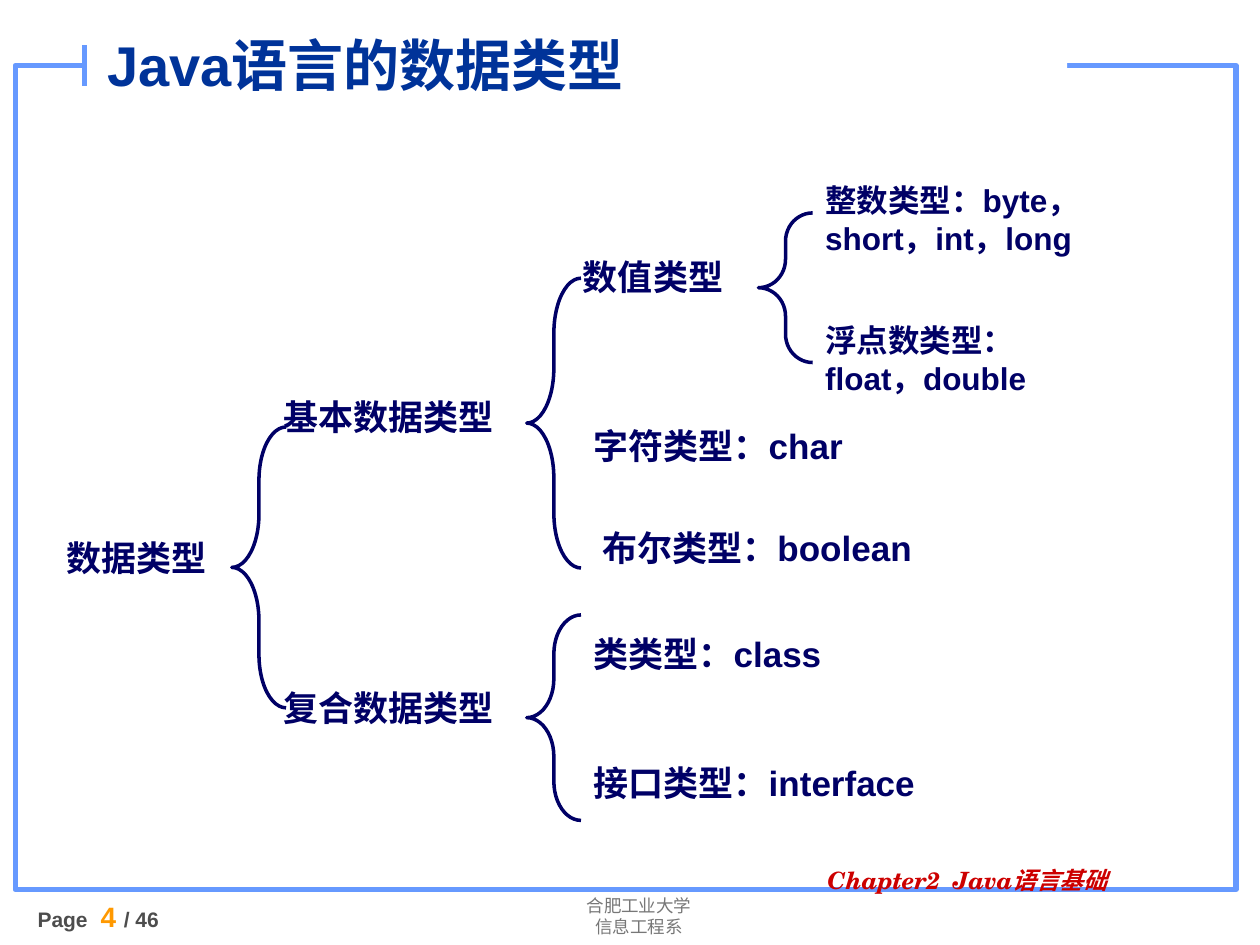
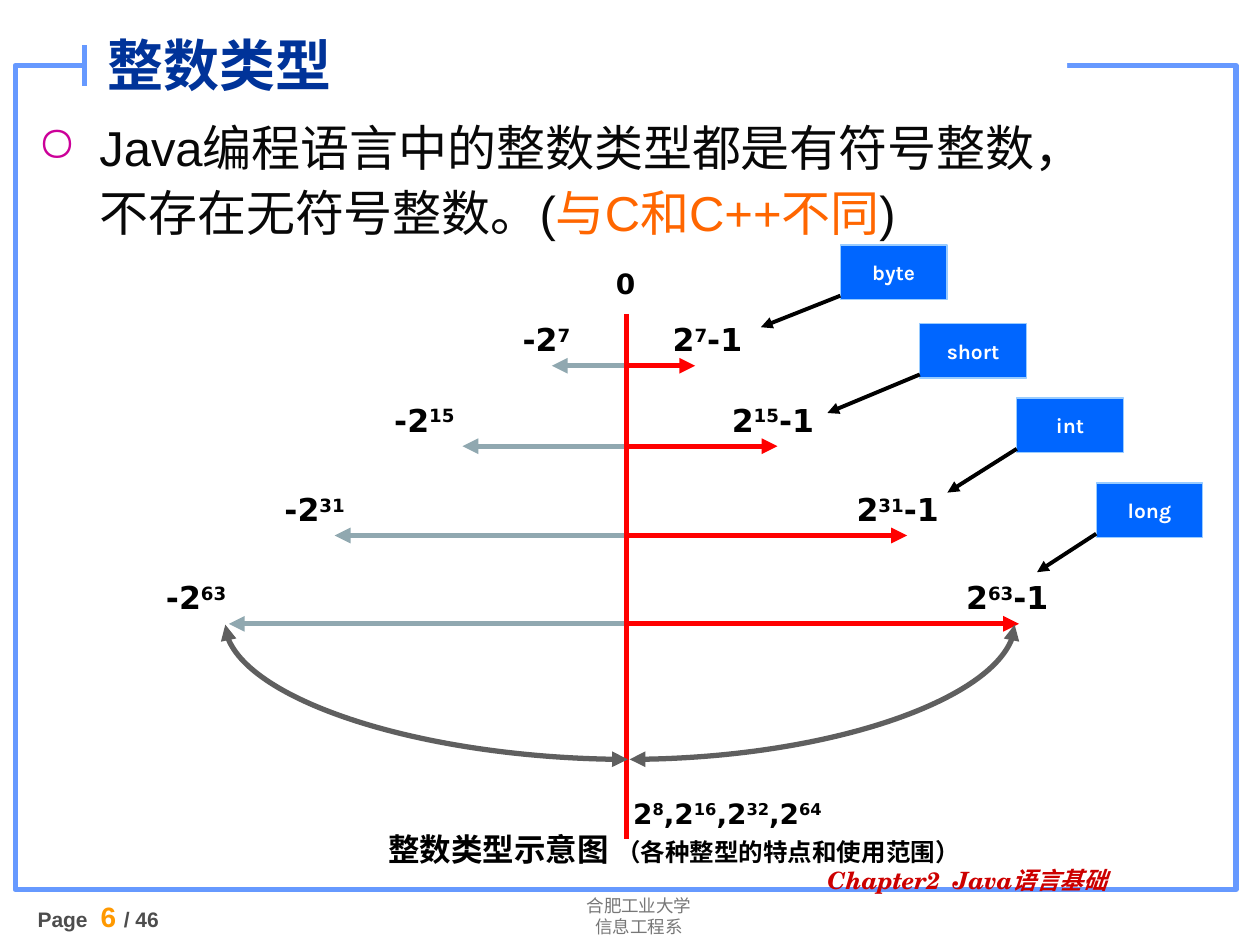
from collections import namedtuple
from dataclasses import dataclass

from lxml import etree
from pptx import Presentation
from pptx.dml.color import RGBColor
from pptx.enum.shapes import MSO_CONNECTOR, MSO_SHAPE
from pptx.enum.text import MSO_ANCHOR, MSO_AUTO_SIZE, PP_ALIGN
from pptx.oxml.ns import qn
from pptx.util import Pt

STRAIGHT, CURVE = MSO_CONNECTOR.STRAIGHT, MSO_CONNECTOR.CURVE
RECTANGLE, LEFT_BRACE = MSO_SHAPE.RECTANGLE, MSO_SHAPE.LEFT_BRACE
MIDDLE, NO_AUTOFIT = MSO_ANCHOR.MIDDLE, MSO_AUTO_SIZE.NONE
LEFT, CENTER = PP_ALIGN.LEFT, PP_ALIGN.CENTER


@dataclass(frozen=True)
class Theme:
    frame: str = "6699FF"
    paper: str = "FFFFFF"
    tree: str = "000066"
    positive: str = "FF0000"
    negative: str = "90A8B0"
    span: str = "5F5F5F"
    ink: str = "000000"
    tag_fill: str = "0066FF"
    tag_edge: str = "99CCFF"
    bullet: str = "CC0099"
    heavy: float = 3
    brace_weight: float = 2
    pointer_weight: float = 2.25
    tag_weight: float = 0.75


THEME = Theme()


def style(size, name, color, bold=False, italic=False):
    return {"size": Pt(size), "name": name, "color": color,
            "bold": bold, "italic": italic}


TITLE = style(32, "Arial", "003399", True)
SCHOOL = style(10, "Roboto", "777777")
PAGE = style(12, "Arial", "4D4D4D", True)
PAGE_NUMBER = style(16, "Arial", "FF9900", True)
CHAPTER = style(13.6, "TeX Gyre Schola", "CC0000", True, True)
NODE = style(20, "Arial", THEME.tree, True)
LEAF = style(18, "Arial", THEME.tree, True)
BODY = style(28, "Arial", "080808")
CONTRAST = style(28, "Arial", "FF6600")
LIMIT = style(18, "DejaVu Sans", THEME.ink, True)
SIZES = style(16, "DejaVu Sans", THEME.ink, True)
CAPTION = style(18, "Arial", THEME.ink, True)
CAPTION_NOTE = style(14, "DejaVu Sans", THEME.ink, True)
TAG = style(12, "Karla", THEME.paper, True)


class Box(namedtuple("Box", "left top width height")):
    def inner(self, dx, dy, width, height):
        return Box(self.left + dx, self.top + dy, width, height)

    def point(self, dx, dy):
        return self.left + dx, self.top + dy

    def lengths(self):
        return [Pt(value) for value in self]


SLIDE = Box(0, 0, 720, 540)


def rgb(color):
    return RGBColor.from_string(color)


def write(paragraph, *runs):
    """Add runs given as (text, style) or (text, style, True) for superscript."""
    for text, formats, *raised in runs:
        run = paragraph.add_run()
        run.text = text
        for attribute, value in formats.items():
            if attribute == "color":
                run.font.color.rgb = rgb(value)
            else:
                setattr(run.font, attribute, value)
        if raised:
            run._r.get_or_add_rPr().set("baseline", "30000")


def add_text(slide, box, *runs):
    frame = slide.shapes.add_textbox(*box.lengths()).text_frame
    frame.word_wrap = True
    write(frame.paragraphs[0], *runs)
    return frame


def add_tab(paragraph, position):
    tabs = etree.SubElement(paragraph._p.get_or_add_pPr(), qn("a:tabLst"))
    etree.SubElement(tabs, qn("a:tab"), pos=str(Pt(position)), algn="l")


def add_block(slide, kind, box, fill=None, edge=None, weight=0):
    block = slide.shapes.add_shape(kind, *box.lengths())
    block.shadow.inherit = False
    if fill:
        block.fill.solid()
        block.fill.fore_color.rgb = rgb(fill)
    else:
        block.fill.background()
    if edge:
        block.line.color.rgb = rgb(edge)
        block.line.width = Pt(weight)
    else:
        block.line.fill.background()
    return block


def add_line(slide, start, end, color, weight, heads=(), kind=STRAIGHT):
    """Draw a connector; heads lists the ends (headEnd, tailEnd) with arrows."""
    line = slide.shapes.add_connector(kind, *map(Pt, (*start, *end)))
    line.line.color.rgb = rgb(color)
    line.line.width = Pt(weight)
    outline = line.line._get_or_add_ln()
    for head in heads:
        etree.SubElement(outline, qn(f"a:{head}"), type="triangle")
    properties = line._element.spPr
    etree.SubElement(properties, qn("a:effectLst"))
    if kind == CURVE:
        properties.find(qn("a:prstGeom")).set("prst", "curvedConnector2")


def add_frame(slide, box):
    add_block(slide, RECTANGLE, box.inner(8.64, 37.44, 697.7, 470.9),
              edge=THEME.frame, weight=THEME.heavy)
    add_block(slide, RECTANGLE, box.inner(48.24, 20.16, 561.6, 25.2), THEME.paper)
    add_line(slide, box.point(48.24, 26), box.point(48.24, 49),
             THEME.frame, THEME.heavy)


def add_footer(slide, box, number):
    school = add_text(slide, box.inner(273.6, 14.4, 183, 32), ("合肥工业大学", SCHOOL))
    write(school.add_paragraph(), ("信息工程系", SCHOOL))
    for line in school.paragraphs:
        line.alignment = CENTER

    page = add_text(slide, box.inner(14.4, 17.3, 130, 30), ("Page\t", PAGE),
                    (f"{number} ", PAGE_NUMBER), ("/ 46", PAGE))
    add_tab(page.paragraphs[0], 36)

    chapter = add_text(slide, box.inner(465.8, 0, 221, 25),
                       ("Chapter2\tJava语言基础", CHAPTER)).paragraphs[0]
    chapter.line_spacing = 0.9
    add_tab(chapter, 71.5)


def add_titled_slide(deck, title, number):
    slide = deck.slides.add_slide(deck.slide_layouts[5])
    add_frame(slide, SLIDE)
    add_footer(slide, SLIDE.inner(0, 493.2, 720, 46.8), number)
    heading = slide.shapes.title
    slide.shapes._spTree.append(heading._element)  # in front of the frame
    place = SLIDE.inner(54, 8, 487.5, 57.6)
    for side, value in zip(place._fields, place.lengths()):
        setattr(heading, side, value)
    frame = heading.text_frame
    frame.auto_size = NO_AUTOFIT
    frame.vertical_anchor = MIDDLE
    frame.paragraphs[0].alignment = LEFT
    write(frame.paragraphs[0], (title, TITLE))
    return slide


TREE_NODES = [  # text, dx, dy, width
    ("数据类型", 0, 203, 112),
    ("基本数据类型", 124, 122.5, 163),
    ("复合数据类型", 124, 289, 158),
    ("数值类型", 295, 42.5, 112),
    ("字符类型：char", 301, 139, 204),
    ("布尔类型：boolean", 306, 197.5, 235),
    ("类类型：class", 301, 258, 158),
    ("接口类型：interface", 301, 331.5, 250),
]
TREE_LEAVES = [  # text, dy
    ("整数类型：byte，short，int，long", 0),
    ("浮点数类型：float，double", 80),
]
TREE_BRACES = [  # dx, dy, height
    (101.5, 144, 160.5),
    (270, 59, 165.6),
    (270, 251.4, 117.4),
    (402.4, 21.7, 85.5),
]
BRACE_WIDTH = 31
BRACE_CURL = 0.19  # share of a brace's height taken by each curl


def add_type_tree(slide, box):
    for dx, dy, height in TREE_BRACES:
        brace = add_block(slide, LEFT_BRACE, box.inner(dx, dy, BRACE_WIDTH, height),
                          edge=THEME.tree, weight=THEME.brace_weight)
        brace.adjustments[0] = BRACE_CURL * height / BRACE_WIDTH
    for text, dx, dy, width in TREE_NODES:
        add_text(slide, box.inner(dx, dy, width, 32), (text, NODE))
    for text, dy in TREE_LEAVES:
        add_text(slide, box.inner(433.4, dy, 173.5, 57.6), (text, LEAF))


def add_statement(slide, box):
    paragraph = add_text(slide, box, ("Java编程语言中的整数类型都是有符号整数，",
                                      BODY)).paragraphs[0]
    paragraph.add_line_break()
    write(paragraph, ("不存在无符号整数。(", BODY), ("与C和C++不同", CONTRAST),
          (")", BODY))
    paragraph.line_spacing = 1.1
    properties = paragraph._p.get_or_add_pPr()
    properties.set("marL", str(Pt(35.3)))
    properties.set("indent", str(Pt(-35.3)))
    color = etree.SubElement(properties, qn("a:buClr"))
    etree.SubElement(color, qn("a:srgbClr"), val=THEME.bullet)
    etree.SubElement(properties, qn("a:buChar"), char="○")


# Horizontal values are distances from the zero axis
IntegerType = namedtuple(
    "IntegerType", "name bits y low high low_label high_label tag pointer_tip")
INTEGER_TYPES = [
    IntegerType("byte", 8, 69, -42.5, 39.5, -66.2, 19.5, (122.4, 0), (77, 47)),
    IntegerType("short", 16, 115, -93.5, 86.5, -139.6, 53.3, (167.8, 45), (115, 96)),
    IntegerType("int", 32, 166, -166.5, 160.5, -202.3, 124.6, (223.2, 87.5), (183.6, 141.5)),
    IntegerType("long", 64, 216.5, -227, 224.5, -270, 187.2, (268.6, 136), (234.8, 187)),
]


def add_integer_range(slide, box, kind):
    exponent = (str(kind.bits - 1), LIMIT, True)
    for reach, color in ((kind.low, THEME.negative), (kind.high, THEME.positive)):
        add_line(slide, box.point(0, kind.y), box.point(reach, kind.y),
                 color, THEME.heavy, ["tailEnd"])
    label_top = kind.y - 29.5
    add_text(slide, box.inner(kind.low_label, label_top, 72, 29),
             ("-2", LIMIT), exponent)
    add_text(slide, box.inner(kind.high_label, label_top, 72, 29),
             ("2", LIMIT), exponent, ("-1", LIMIT))

    tag_x, tag_y = kind.tag
    tag = add_block(slide, RECTANGLE, box.inner(tag_x, tag_y, 61, 31),
                    THEME.tag_fill, THEME.tag_edge, THEME.tag_weight)
    frame = tag.text_frame
    frame.word_wrap = False
    frame.vertical_anchor = MIDDLE
    frame.paragraphs[0].alignment = CENTER
    write(frame.paragraphs[0], (kind.name, TAG))
    add_line(slide, box.point(tag_x, tag_y + 29), box.point(*kind.pointer_tip),
             THEME.ink, THEME.pointer_weight, ["tailEnd"])


def add_caption(slide, box):
    runs = []
    for kind in INTEGER_TYPES:
        runs += [(",2" if runs else "2", SIZES), (str(kind.bits), SIZES, True)]
    frame = add_text(slide, box, *runs)
    frame.paragraphs[0]._p.get_or_add_pPr().set("marL", str(Pt(166)))
    title = frame.add_paragraph()
    title.alignment = CENTER
    write(title, ("整数类型示意图 ", CAPTION),
          ("（各种整型的特点和使用范围）", CAPTION_NOTE))


def add_range_diagram(slide, box):
    """Draw the ranges; the box's left edge is the zero axis."""
    add_text(slide, box.inner(-13, 9, 30, 27), ("0", SIZES))
    for kind in INTEGER_TYPES:
        add_integer_range(slide, box, kind)
    add_line(slide, box.point(0, 39.3), box.point(0, 339.5),
             THEME.positive, THEME.heavy)
    for start, end in ((1, -229), (2, 222)):
        add_line(slide, box.point(start, 294), box.point(end, 217), THEME.span,
                 THEME.heavy, ["headEnd", "tailEnd"], CURVE)
    add_caption(slide, box.inner(-169, 311.4, 393, 48))


def main():
    deck = Presentation()
    deck.slide_width, deck.slide_height = Pt(SLIDE.width), Pt(SLIDE.height)

    overview = add_titled_slide(deck, "Java语言的数据类型", 4)
    add_type_tree(overview, SLIDE.inner(31, 100, 607, 370))

    integers = add_titled_slide(deck, "整数类型", 6)
    add_statement(integers, SLIDE.inner(14.4, 60.5, 686, 85))
    add_range_diagram(integers, SLIDE.inner(357.8, 140, 330, 360))

    deck.save("out.pptx")


if __name__ == "__main__":
    main()
